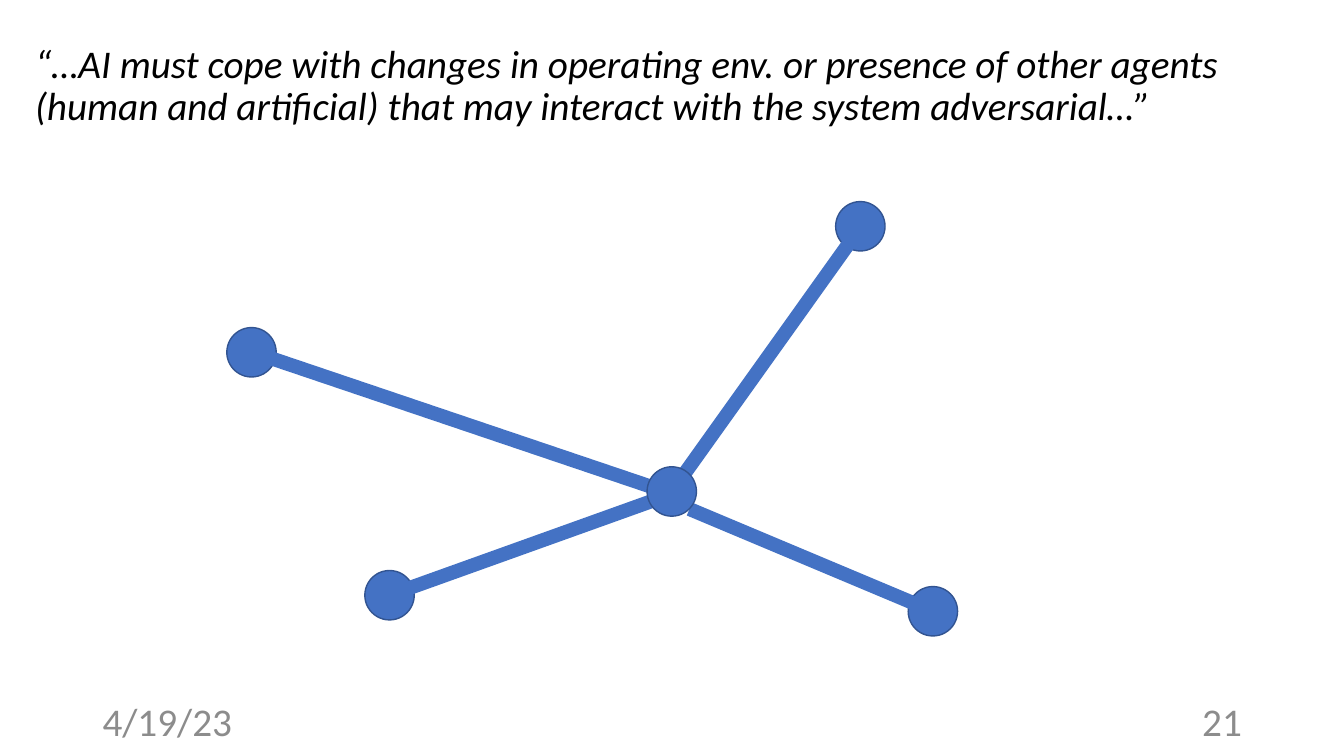
from lxml.etree import SubElement
from pptx import Presentation
from pptx.dml.color import RGBColor
from pptx.enum.shapes import MSO_CONNECTOR as CONN, MSO_SHAPE as SHAPE
from pptx.enum.text import MSO_ANCHOR as ANCHOR, PP_ALIGN as ALIGN
from pptx.oxml.ns import qn
from pptx.util import Pt


def rgb(value):
    return RGBColor.from_string(value)


def write(tf, text, size=28, color="000000", italic=False, align=ALIGN.LEFT, spacing=1.0):
    p = tf.paragraphs[0]
    p.alignment = align
    p.line_spacing = spacing
    r = p.add_run()
    r.text = text
    r.font.name = "Calibri"
    r.font.size = Pt(size)
    r.font.italic = italic
    r.font.color.rgb = rgb(color)


class NetworkSlide:
    """Draws nodes, links and text on one slide in a shared style."""

    BLUE, OUTLINE, GREY = "4472C4", "325491", "8C8C8C"
    NODE = 35.3

    def __init__(self, prs):
        self.s = prs.slides.add_slide(prs.slide_layouts[6])

    def text(self, x, y, w, h, text, anchor=ANCHOR.TOP, **style):
        tf = self.s.shapes.add_textbox(Pt(x), Pt(y), Pt(w), Pt(h)).text_frame
        tf.word_wrap = True
        tf.vertical_anchor = anchor
        write(tf, text, **style)

    def footer(self, x, text, align):
        self.text(x, 500.4, 216, 28.8, text, ANCHOR.MIDDLE, color=self.GREY, align=align)

    def node(self, x, y):
        sp = self.s.shapes.add_shape(SHAPE.OVAL, Pt(x), Pt(y), Pt(self.NODE), Pt(self.NODE))
        sp.shadow.inherit = False
        sp.fill.solid()
        sp.fill.fore_color.rgb = rgb(self.BLUE)
        sp.line.color.rgb = rgb(self.OUTLINE)
        sp.line.width = Pt(1)

    def link(self, x1, y1, x2, y2):
        cxn = self.s.shapes.add_connector(CONN.STRAIGHT, Pt(x1), Pt(y1), Pt(x2), Pt(y2))
        cxn.line.color.rgb = rgb(self.BLUE)
        cxn.line.width = Pt(10)
        SubElement(cxn._element.spPr, qn("a:effectLst"))


def main():
    prs = Presentation()
    prs.slide_width, prs.slide_height = Pt(960), Pt(540)
    slide = NetworkSlide(prs)
    slide.text(18, 28.1, 924.5, 80.6,
               "“…AI must cope with changes in operating env. or presence of other agents "
               "(human and artificial) that may interact with the system adversarial…”",
               italic=True, spacing=0.9)
    slide.footer(678.2, "21", ALIGN.RIGHT)
    slide.footer(66.2, "4/19/23", ALIGN.LEFT)

    for outer in [(596.9, 144), (648.7, 419), (260.6, 407.5), (162, 234)]:
        slide.node(*outer)
    for ends in [(180, 251.3, 473.8, 350.6), (492.5, 363.6, 672.5, 439.2),
                 (287.3, 421.9, 473.8, 355), (480.2, 350.6, 614.9, 162)]:
        slide.link(*ends)
    slide.node(462.2, 333.4)
    prs.save("out.pptx")


if __name__ == "__main__":
    main()
